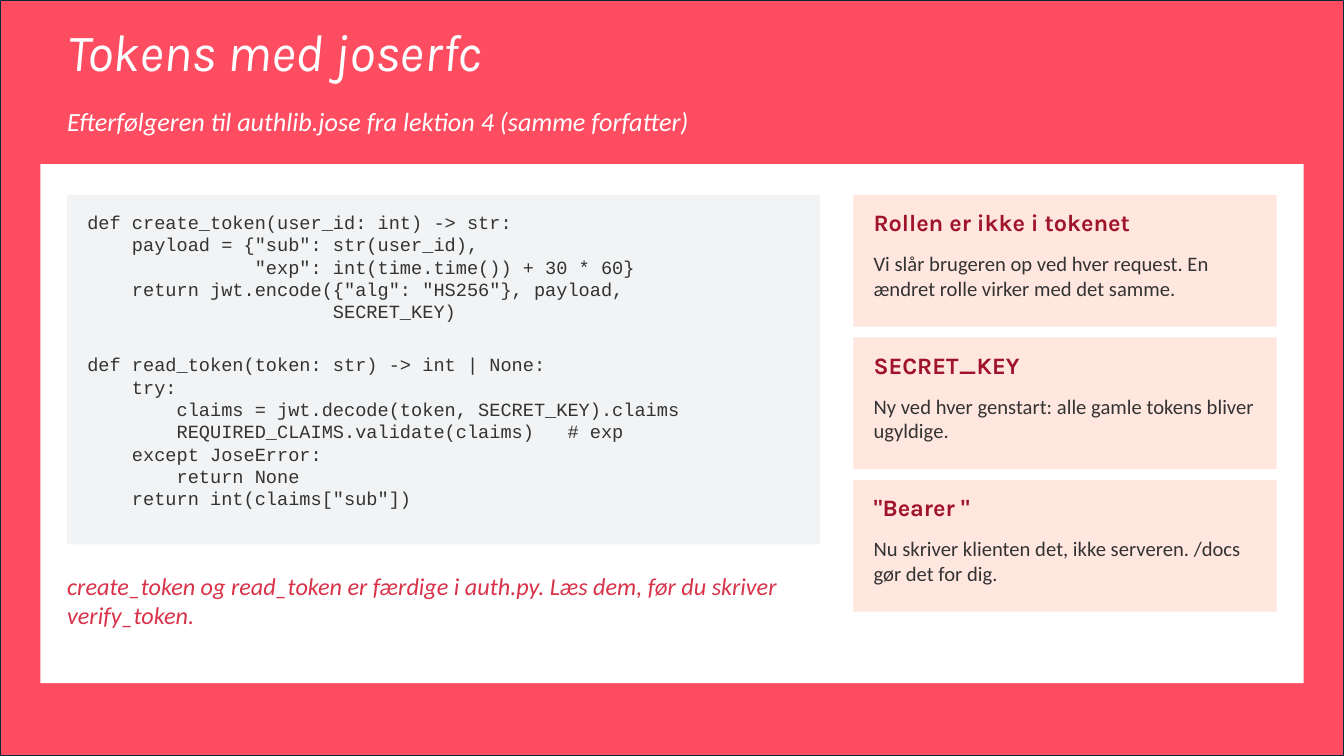
from dataclasses import dataclass

from pptx import Presentation
from pptx.dml.color import RGBColor
from pptx.enum.shapes import MSO_SHAPE as Preset
from pptx.enum.text import MSO_ANCHOR as Anchor, MSO_AUTO_SIZE as AutoSize, PP_ALIGN as Align
from pptx.util import Pt


@dataclass(frozen=True)
class TextStyle:
    font: str
    size: float
    color: str
    bold: bool = False
    italic: bool = False


@dataclass(frozen=True)
class Theme:
    background: str = "FE4C61"
    border: str = "092A39"
    panel: str = "FFFFFF"
    code_panel: str = "F2F3F4"
    card: str = "FFE6DE"
    title: TextStyle = TextStyle("Karla", 37.3, "FFFFFF", italic=True)
    subtitle: TextStyle = TextStyle("Calibri", 18.7, "FFFFFF", italic=True)
    code: TextStyle = TextStyle("Courier New", 13.3, "333333")
    heading: TextStyle = TextStyle("Karla", 16.8, "A0142B", bold=True)
    body: TextStyle = TextStyle("Calibri", 14.7, "333333")
    note: TextStyle = TextStyle("Calibri", 17.3, "D93349", italic=True)


CREATE_TOKEN = """def create_token(user_id: int) -> str:
    payload = {"sub": str(user_id),
               "exp": int(time.time()) + 30 * 60}
    return jwt.encode({"alg": "HS256"}, payload,
                      SECRET_KEY)"""

READ_TOKEN = """def read_token(token: str) -> int | None:
    try:
        claims = jwt.decode(token, SECRET_KEY).claims
        REQUIRED_CLAIMS.validate(claims)   # exp
    except JoseError:
        return None
    return int(claims["sub"])"""

CARDS = [
    ("Rollen er ikke i tokenet",
     "Vi slår brugeren op ved hver request. En ændret rolle virker med det samme."),
    ("SECRET_KEY", "Ny ved hver genstart: alle gamle tokens bliver ugyldige."),
    ('"Bearer "', "Nu skriver klienten det, ikke serveren. /docs gør det for dig."),
]


class SlideBuilder:
    def __init__(self, slide, theme):
        self.slide = slide
        self.theme = theme

    def add_run(self, paragraph, text, style):
        paragraph.alignment = Align.LEFT
        run = paragraph.add_run()
        run.text = text
        font = run.font
        font.name = style.font
        font.size = Pt(style.size)
        font.bold = style.bold
        font.italic = style.italic
        font.color.rgb = RGBColor.from_string(style.color)

    def prepare(self, frame):
        frame.margin_left = frame.margin_right = 0
        frame.margin_top = frame.margin_bottom = 0
        frame.vertical_anchor = Anchor.TOP
        frame.word_wrap = True

    def title(self, text, left, top, width, height):
        shape = self.slide.shapes.title
        shape.left, shape.top = Pt(left), Pt(top)
        shape.width, shape.height = Pt(width), Pt(height)
        frame = shape.text_frame
        self.prepare(frame)
        frame.auto_size = AutoSize.NONE
        paragraph = frame.paragraphs[0]
        paragraph.line_spacing = 0.9
        self.add_run(paragraph, text, self.theme.title)

    def panel(self, left, top, width, height, fill, border=None):
        shape = self.slide.shapes.add_shape(
            Preset.RECTANGLE, Pt(left), Pt(top), Pt(width), Pt(height))
        shape.shadow.inherit = False
        shape.fill.solid()
        shape.fill.fore_color.rgb = RGBColor.from_string(fill)
        if border:
            shape.line.color.rgb = RGBColor.from_string(border)
            shape.line.width = Pt(1.5)
        else:
            shape.line.fill.background()
        return shape

    def backdrop(self, width, height):
        shape = self.panel(0, 0, width, height, self.theme.background, self.theme.border)
        self.slide.shapes.title.element.addprevious(shape.element)

    def text(self, blocks, left, top, width, height, style, block_gap=0):
        box = self.slide.shapes.add_textbox(Pt(left), Pt(top), Pt(width), Pt(height))
        frame = box.text_frame
        self.prepare(frame)
        frame.auto_size = AutoSize.SHAPE_TO_FIT_TEXT
        paragraph = None
        for block in blocks:
            for index, line in enumerate(block.split("\n")):
                is_first = paragraph is None
                paragraph = frame.paragraphs[0] if is_first else frame.add_paragraph()
                if index == 0 and not is_first:
                    paragraph.space_before = Pt(block_gap)
                self.add_run(paragraph, line, style)

    def card(self, heading, body, left, top, width, height):
        padding = 14.4
        inner_width = width - 2 * padding
        self.panel(left, top, width, height, self.theme.card)
        self.text([heading], left + padding, top + 9.6, inner_width, 28.8, self.theme.heading)
        self.text([body], left + padding, top + 40.2, inner_width, 48, self.theme.body)


def main():
    theme = Theme()
    presentation = Presentation()
    presentation.slide_width, presentation.slide_height = Pt(960), Pt(540)
    slide = presentation.slides.add_slide(presentation.slide_layouts[5])
    builder = SlideBuilder(slide, theme)

    left, content_top = 48, 139.2
    builder.backdrop(960, 540)
    builder.title("Tokens med joserfc", left, 19.2, 864, 52.8)
    builder.panel(28.8, 117.2, 902.4, 370.8, theme.panel)
    builder.text(["Efterfølgeren til authlib.jose fra lektion 4 (samme forfatter)"],
                 left, 75, 864, 33.6, theme.subtitle)

    builder.panel(left, content_top, 537.6, 249.6, theme.code_panel)
    builder.text([CREATE_TOKEN, READ_TOKEN], left + 14.4, 150.6, 508.8, 230.4,
                 theme.code, block_gap=22)

    for index, (heading, body) in enumerate(CARDS):
        builder.card(heading, body, 609.6, content_top + index * 101.8, 302.4, 94.2)

    builder.text(["create_token og read_token er færdige i auth.py. "
                  "Læs dem, før du skriver verify_token."],
                 left, 408, 537.6, 67.2, theme.note)

    presentation.save("out.pptx")


if __name__ == "__main__":
    main()
